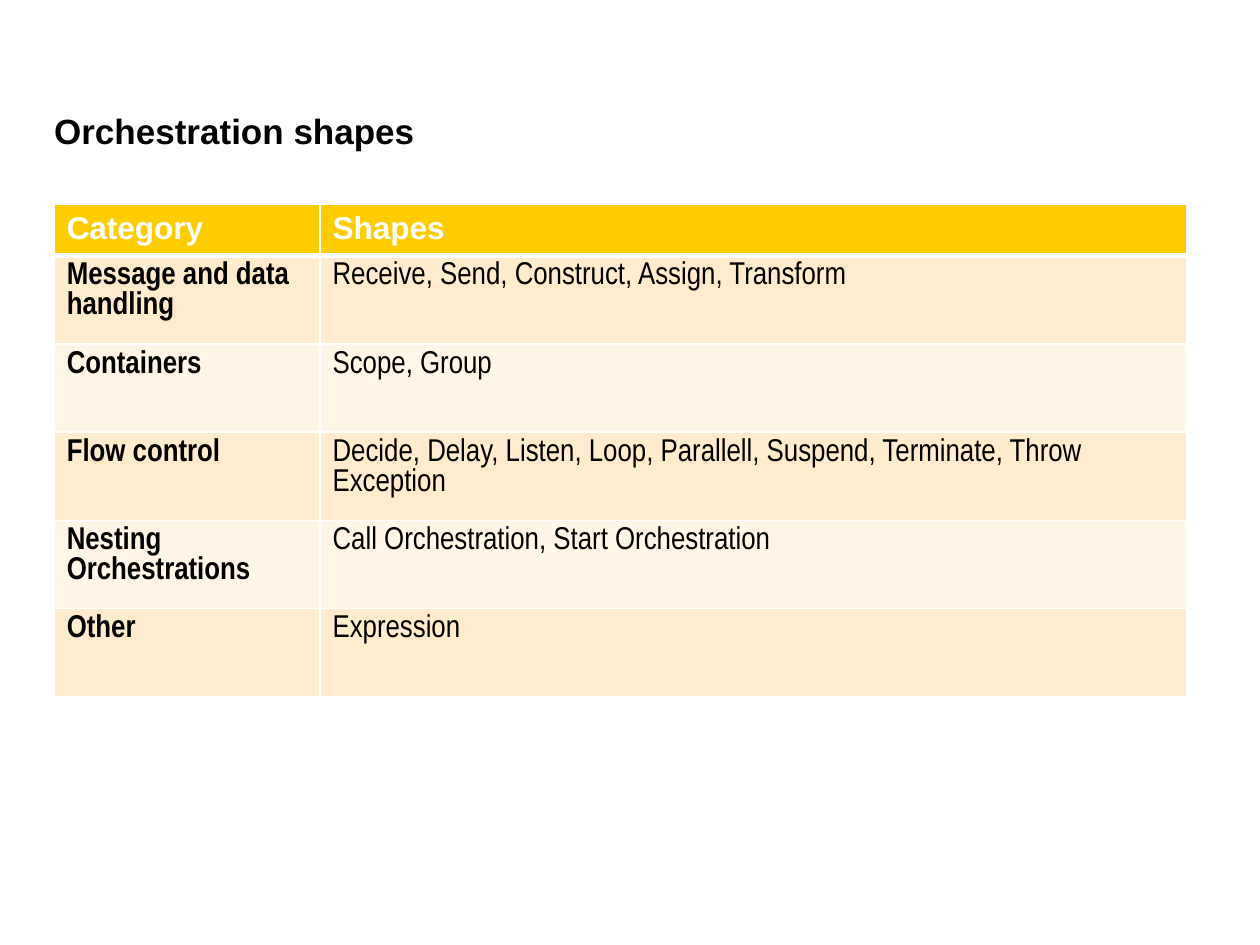
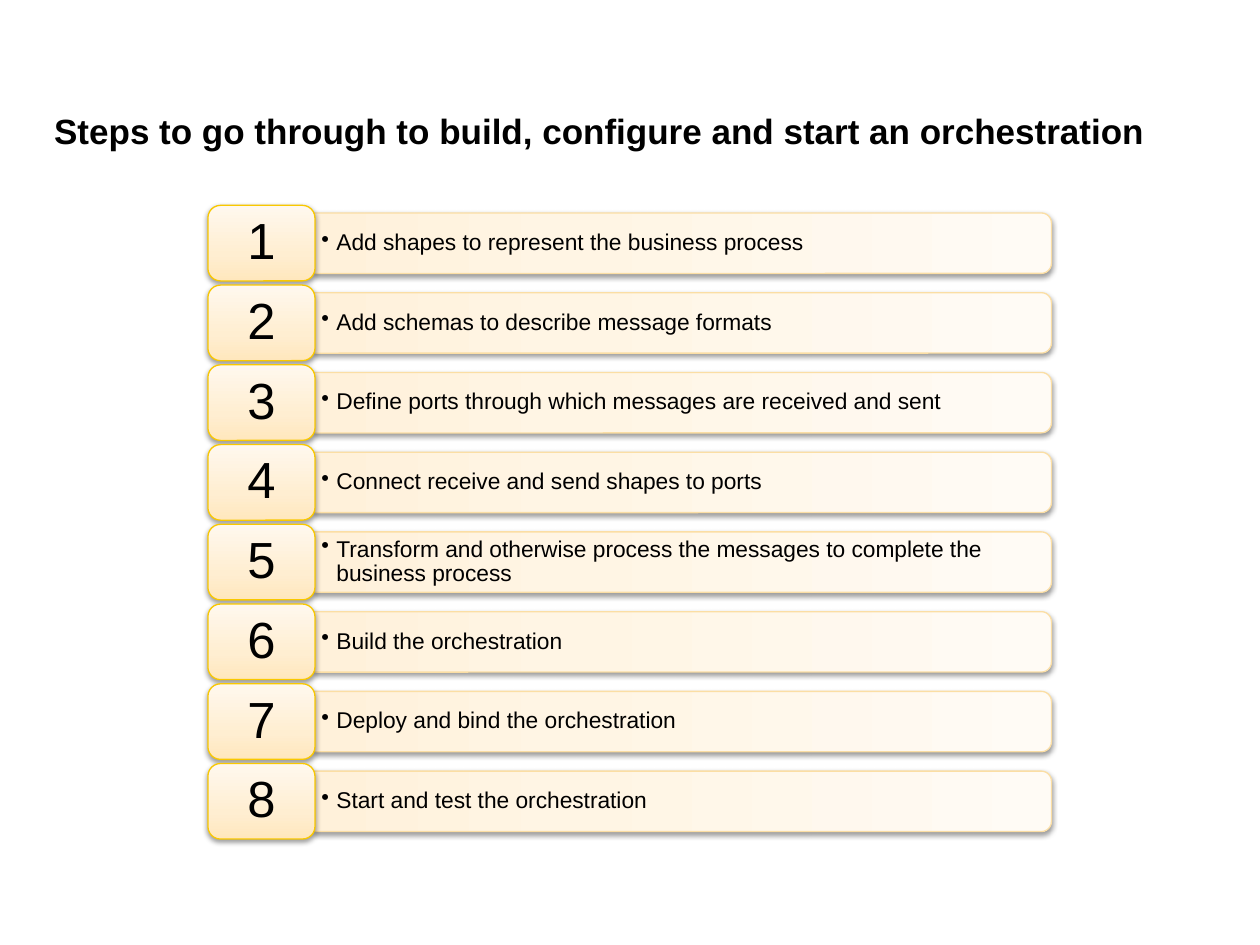
from copy import deepcopy
from dataclasses import dataclass

from lxml.etree import SubElement as Sub
from pptx import Presentation
from pptx.dml.color import RGBColor as RGB
from pptx.enum.shapes import MSO_SHAPE as Shape
from pptx.enum.text import MSO_ANCHOR as Anchor, PP_ALIGN as Align
from pptx.oxml.ns import qn
from pptx.util import Inches, Pt


@dataclass(frozen=True)
class Theme:
    font: str = "Arial"
    slim: str = "Arial Narrow"
    ink: str = "000000"
    white: str = "FFFFFF"
    gold: str = "FFCC00"
    bands: tuple = ("FFECCC", "FFF6E7")
    bar: tuple = ("FFF1DA", "FFF5E4", "FFFBF5")
    bar_edge: str = "FBDEA4"
    badge: tuple = ("FFE7BD", "FFEED1", "FFF8EE")
    badge_edge: str = "F9C800"
    title_size: int = 20
    cell_size: int = 18
    step_size: int = 13
    count_size: int = 29


theme = Theme()


def write(frame, text, size, color=theme.ink, para=None, **font):
    """Fill a text frame with one styled paragraph and return it."""
    line = frame.paragraphs[0]
    for name, value in (para or {}).items():
        setattr(line, name, value)
    run = line.add_run()
    run.text = text
    look = {"name": theme.font, "size": Pt(size), "bold": False, **font}
    for name, value in look.items():
        setattr(run.font, name, value)
    run.font.color.rgb = RGB.from_string(color)
    return line


def add_box(slide, place, pad=(0, 0)):
    """Add a wrapping, middle-anchored box; pad is (side, top and bottom)."""
    frame = slide.shapes.add_textbox(*map(Inches, place)).text_frame
    side, edge = map(Inches, pad)
    look = {
        "word_wrap": True, "vertical_anchor": Anchor.MIDDLE,
        "margin_left": side, "margin_right": side,
        "margin_top": edge, "margin_bottom": edge,
    }
    for name, value in look.items():
        setattr(frame, name, value)
    return frame


deck = Presentation()
deck.slide_width, deck.slide_height = Inches(10), Inches(7.5)

slides = []
for title in (
    "Orchestration shapes",
    "Steps to go through to build, configure and start an orchestration",
):
    slide = deck.slides.add_slide(deck.slide_layouts[6])
    write(add_box(slide, (0.43, 0.84, 9.14, 0.39)), title, theme.title_size, bold=True)
    slides.append(slide)
list_slide, step_slide = slides

# Table of shape categories
rows = [
    ("Category", "Shapes"),
    ("Message and data handling", "Receive, Send, Construct, Assign, Transform"),
    ("Containers", "Scope, Group"),
    ("Flow control",
     "Decide, Delay, Listen, Loop, Parallell, Suspend, Terminate, Throw Exception"),
    ("Nesting Orchestrations", "Call Orchestration, Start Orchestration"),
    ("Other", "Expression"),
]
place = map(Inches, (0.43, 1.62, 8.98, 3.91))
table = list_slide.shapes.add_table(len(rows), 2, *place).table
table.first_row = table.horz_banding = False
for col, width in zip(table.columns, (2.11, 6.88)):
    col.width = Inches(width)

for r, row in enumerate(rows):
    head = r == 0
    table.rows[r].height = Inches(0.41 if head else 0.7)
    widths = {"L": 1, "R": 1, "T": 3 if r == 1 else 1, "B": 3 if head else 1}
    for c, text in enumerate(row):
        cell = table.cell(r, c)
        props = cell._tc.get_or_add_tcPr()
        for side, width in widths.items():
            edge = Sub(props, qn(f"a:ln{side}"), w=str(Pt(width)))
            Sub(Sub(edge, qn("a:solidFill")), qn("a:srgbClr"), val=theme.white)
        cell.fill.solid()
        fill = theme.gold if head else theme.bands[(r - 1) % 2]
        cell.fill.fore_color.rgb = RGB.from_string(fill)
        write(
            cell.text_frame, text, theme.cell_size,
            theme.white if head else theme.ink,
            name=theme.font if head else theme.slim, bold=head or c == 0,
        )

# Numbered steps, each centred on its own middle line
steps = [
    "Add shapes to represent the business process",
    "Add schemas to describe message formats",
    "Define ports through which messages are received and sent",
    "Connect receive and send shapes to ports",
    "Transform and otherwise process the messages to complete the business process",
    "Build the orchestration",
    "Deploy and bind the orchestration",
    "Start and test the orchestration",
]
first, last = 1.93, 6.36
pitch = (last - first) / (len(steps) - 1)
panels = [
    (Shape.ROUND_2_SAME_RECTANGLE, 5.18, 0.48, 5.85, 90, theme.bar, theme.bar_edge),
    (Shape.ROUNDED_RECTANGLE, 1.65, 0.85, 0.6, 0, theme.badge, theme.badge_edge),
]

for i, step in enumerate(steps):
    mid = first + i * pitch
    for kind, left, width, height, turn, tints, edge in panels:
        place = map(Inches, (left, mid - height / 2, width, height))
        panel = step_slide.shapes.add_shape(kind, *place)
        panel.rotation = turn
        panel.line.color.rgb = RGB.from_string(edge)
        panel.line.width = Pt(0.75)

        panel.fill.gradient()
        panel.fill.gradient_angle = 90
        stops = panel._element.spPr.find(".//" + qn("a:gsLst"))
        stops.append(deepcopy(stops[-1]))
        for stop, spot, tint in zip(panel.fill.gradient_stops, (0, 0.35, 1), tints):
            stop.position = spot
            stop.color.rgb = RGB.from_string(tint)

        panel.shadow.inherit = False
        glow = Sub(
            panel._element.spPr.find(qn("a:effectLst")), qn("a:outerShdw"),
            blurRad=str(Pt(3.1)), dist=str(Pt(1.6)), dir="5400000", rotWithShape="0",
        )
        Sub(Sub(glow, qn("a:srgbClr"), val=theme.ink), qn("a:alpha"), val="38000")

    frame = add_box(step_slide, (2.5, mid - 0.22, 5.82, 0.44), (0.05, 0.03))
    line = write(frame, step, theme.step_size, para={"level": 1, "line_spacing": 0.9})
    props = line._p.get_or_add_pPr()
    props.set("marL", str(Inches(0.12)))
    props.set("indent", str(-Inches(0.12)))
    Sub(props, qn("a:buChar"), char="•")

    frame = add_box(step_slide, (1.68, mid - 0.27, 0.79, 0.54), (0.12, 0.06))
    write(
        frame, str(i + 1), theme.count_size,
        para={"alignment": Align.CENTER, "line_spacing": 0.9},
    )

deck.save("out.pptx")
